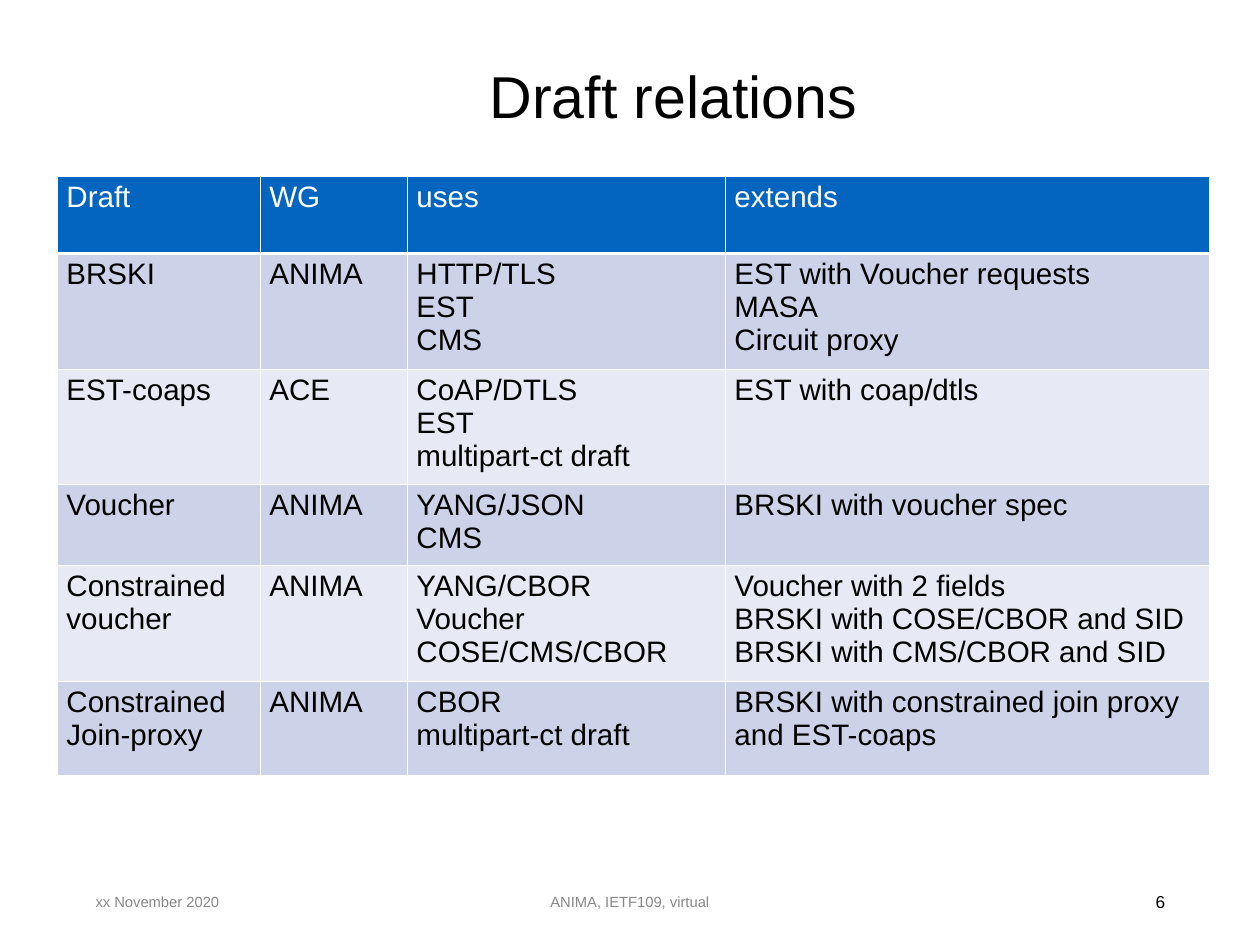
"""Build the slide that relates the drafts in a table."""
from lxml.etree import SubElement
from pptx import Presentation
from pptx.dml.color import RGBColor
from pptx.enum.text import MSO_ANCHOR, PP_ALIGN
from pptx.oxml.ns import qn
from pptx.util import Inches, Pt

FONT = "Arial"
BLACK = RGBColor(0x00, 0x00, 0x00)
WHITE = RGBColor(0xFF, 0xFF, 0xFF)
GREY = RGBColor(0x88, 0x88, 0x88)
BLUE = RGBColor(0x03, 0x65, 0xC0)
DARK = RGBColor(0xCC, 0xD3, 0xE8)
LIGHT = RGBColor(0xE7, 0xEA, 0xF4)

LABELS = [
    ("Draft relations", (2.84, 0.47, 9.52, 1.2), PP_ALIGN.CENTER, 48, BLACK),
    ("xx November 2020", (0.98, 9.89, 3.2, 0.57), PP_ALIGN.LEFT, 12, GREY),
    ("ANIMA, IETF109, virtual", (4.71, 9.89, 4.8, 0.57), PP_ALIGN.CENTER, 12, GREY),
    ("6", (10.05, 9.89, 3.2, 0.57), PP_ALIGN.RIGHT, 14, BLACK),
]
DRAFTS = [
    (["Draft"], ["WG"], ["uses"], ["extends"]),
    (["BRSKI"], ["ANIMA"], ["HTTP/TLS", "EST", "CMS"],
     ["EST with Voucher requests", "MASA", "Circuit proxy"]),
    (["EST-coaps"], ["ACE"], ["CoAP/DTLS", "EST", "multipart-ct draft"],
     ["EST with coap/dtls"]),
    (["Voucher"], ["ANIMA"], ["YANG/JSON", "CMS"], ["BRSKI with voucher spec"]),
    (["Constrained voucher"], ["ANIMA"], ["YANG/CBOR", "Voucher", "COSE/CMS/CBOR"],
     ["Voucher with 2 fields", "BRSKI with COSE/CBOR and SID",
      "BRSKI with CMS/CBOR and SID"]),
    (["Constrained Join-proxy"], ["ANIMA"], ["CBOR", "multipart-ct draft"],
     ["BRSKI with constrained join proxy and EST-coaps"]),
]
LEFT, TOP = 0.65, 1.99
WIDTHS = [2.29, 1.66, 3.59, 5.46]
HEIGHTS = [0.87, 1.31, 1.22, 0.91, 1.31, 1.07]


def write(frame, lines, size, color, align=PP_ALIGN.LEFT):
    """Fill a text frame with one paragraph per line."""
    for i, line in enumerate(lines):
        para = frame.add_paragraph() if i else frame.paragraphs[0]
        para.alignment = align
        run = para.add_run()
        run.text = line
        run.font.name = FONT
        run.font.size = Pt(size)
        run.font.color.rgb = color


def add_label(slide, text, place, align, size, color):
    """Add a text box centred on its height."""
    frame = slide.shapes.add_textbox(*map(Inches, place)).text_frame
    frame.word_wrap = True
    frame.vertical_anchor = MSO_ANCHOR.MIDDLE
    write(frame, [text], size, color, align)


def add_rules(cell, base):
    """Draw white rules on the four sides of a cell."""
    props = cell._tc.get_or_add_tcPr()
    for i, (side, width) in enumerate((("L", 1), ("R", 1), ("T", 1), ("B", base))):
        rule = props.makeelement(qn("a:ln" + side), {"w": str(Pt(width))})
        fill = SubElement(rule, qn("a:solidFill"))
        SubElement(fill, qn("a:srgbClr"), val=str(WHITE))
        props.insert(i, rule)


def add_drafts(slide):
    """Add the table of drafts."""
    size = map(Inches, (LEFT, TOP, sum(WIDTHS), sum(HEIGHTS)))
    table = slide.shapes.add_table(len(DRAFTS), len(WIDTHS), *size).table
    for col, width in zip(table.columns, WIDTHS):
        col.width = Inches(width)
    for r, (row, height) in enumerate(zip(DRAFTS, HEIGHTS)):
        table.rows[r].height = Inches(height)
        back = (DARK if r % 2 else LIGHT) if r else BLUE
        for c, lines in enumerate(row):
            cell = table.cell(r, c)
            cell.fill.solid()
            cell.fill.fore_color.rgb = back
            add_rules(cell, 1 if r else 3)
            write(cell.text_frame, lines, 24, BLACK if r else WHITE)


def main():
    """Build and save the slide."""
    deck = Presentation()
    deck.slide_width, deck.slide_height = Inches(14.22), Inches(10.67)
    slide = deck.slides.add_slide(deck.slide_layouts[6])
    for label in LABELS:
        add_label(slide, *label)
    add_drafts(slide)
    deck.save("out.pptx")


if __name__ == "__main__":
    main()
